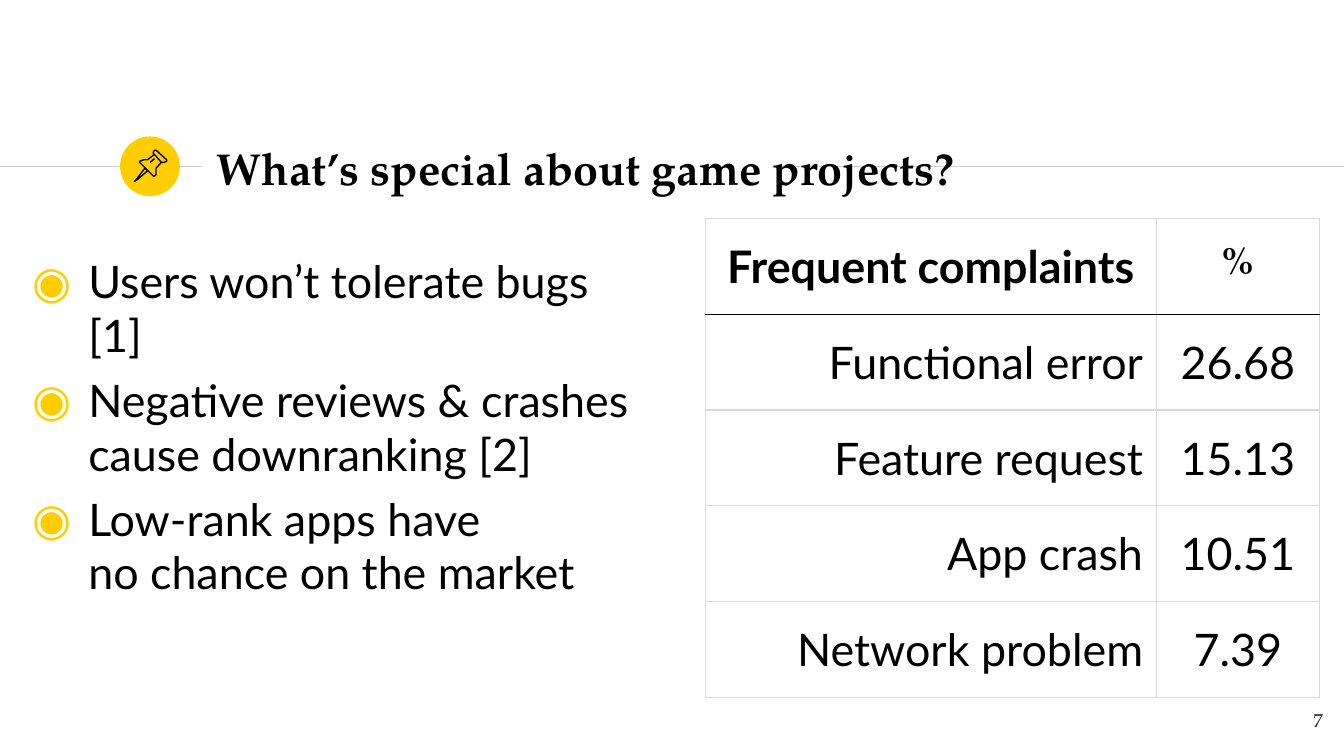
from lxml import etree
from pptx import Presentation
from pptx import util as u
from pptx.dml.color import RGBColor
from pptx.enum import shapes, text
from pptx.oxml import ns

BLACK, GREY, YELLOW, INK = "000000", "CCCCCC", "FFCD00", "1D1D1B"
BORDER = "D9D9D9"
SANS, SERIF = "Lato", "TeX Gyre Pagella"
ALIGN, ANCHOR = text.PP_ALIGN, text.MSO_ANCHOR

# Outlines of the pin, in hundredths of a centimetre
PIN = {
    "needle": [(274, 318), (257, 340), (254, 343), (259, 340), (279, 323)],
    "cap": [(292, 292), (305, 307), (310, 307), (315, 305), (315, 302),
            (295, 284), (292, 284), (290, 287), (290, 292)],
    "body": [(292, 292), (279, 302), (272, 302), (264, 305), (264, 307),
             (290, 333), (292, 333), (295, 330), (295, 318), (305, 307)],
    "glint": [(284, 307), (292, 300)],
}
POINTS = [
    "Users won’t tolerate bugs [1]",
    "Negative reviews & crashes\vcause downranking [2]",
    "Low-rank apps have\vno chance on the market",
]
COMPLAINTS = [
    ("Frequent complaints", "%"),
    ("Functional error", "26.68"),
    ("Feature request", "15.13"),
    ("App crash", "10.51"),
    ("Network problem", "7.39"),
]


def rgb(value):
    return RGBColor.from_string(value)


def add_xml(parent, tag, **attrs):
    return etree.SubElement(parent, ns.qn(tag), attrs)


class Deck:
    def __init__(self, prs):
        self.s = prs.slides.add_slide(prs.slide_layouts[6])

    def style(self, p, size, font, color=BLACK, bold=False, align=ALIGN.LEFT):
        p.alignment = align
        for r in p.runs:
            r.font.size, r.font.name, r.font.bold = u.Pt(size), font, bold
            r.font.color.rgb = rgb(color)

    def line(self, x1, x2, y):
        c = self.s.shapes.add_connector(
            shapes.MSO_CONNECTOR.STRAIGHT, u.Cm(x1), u.Cm(y), u.Cm(x2), u.Cm(y))
        c.line.color.rgb, c.line.width = rgb(GREY), u.Pt(0.75)
        add_xml(c._element.spPr, "a:effectLst")

    def disc(self, x, y, size):
        sp = self.s.shapes.add_shape(
            shapes.MSO_SHAPE.OVAL, u.Cm(x), u.Cm(y), u.Cm(size), u.Cm(size))
        sp.shadow.inherit = False
        sp.fill.solid()
        sp.fill.fore_color.rgb = rgb(YELLOW)
        sp.line.fill.background()

    def outline(self, points, close):
        fb = self.s.shapes.build_freeform(*points[0], scale=u.Cm(0.01))
        fb.add_line_segments(points[1:], close=close)
        sp = fb.convert_to_shape()
        sp.shadow.inherit = False
        sp.fill.background()
        sp.line.color.rgb, sp.line.width = rgb(BLACK), u.Pt(0.75)

    def text(self, x, y, w, h, words, anchor=ANCHOR.TOP, **style):
        tf = self.s.shapes.add_textbox(u.Cm(x), u.Cm(y), u.Cm(w), u.Cm(h)).text_frame
        tf.word_wrap, tf.vertical_anchor = True, anchor
        tf.margin_left = tf.margin_right = tf.margin_top = tf.margin_bottom = u.Cm(0.25)
        tf.text = words
        for p in tf.paragraphs:
            self.style(p, **style)
        return tf

    def bullets(self, x, y, w, h, items, **style):
        tf = self.text(x, y, w, h, "\n".join(items), **style)
        for i, p in enumerate(tf.paragraphs):
            pPr = p._p.get_or_add_pPr()
            pPr.set("marL", str(u.Cm(1.27)))
            pPr.set("indent", str(u.Cm(-1.06)))
            add_xml(add_xml(pPr, "a:buClr"), "a:srgbClr", val=YELLOW)
            add_xml(pPr, "a:buFont", typeface=SANS)
            add_xml(pPr, "a:buChar", char="◉")
            if i:
                p.space_before = u.Pt(6)

    def borders(self, cell, top, bottom):
        """Draw the four cell edges, with their own colours above and below."""
        tcPr = cell._tc.get_or_add_tcPr()
        edges = {"L": BORDER, "R": BORDER, "T": top, "B": bottom}
        for i, (side, color) in enumerate(edges.items()):
            ln = etree.Element(ns.qn(f"a:ln{side}"), w=str(u.Pt(0.75)))
            add_xml(add_xml(ln, "a:solidFill"), "a:srgbClr", val=color)
            tcPr.insert(i, ln)

    def table(self, x, y, widths, row_height, rows):
        t = self.s.shapes.add_table(
            len(rows), len(widths), u.Cm(x), u.Cm(y),
            u.Cm(sum(widths)), u.Cm(row_height * len(rows))).table
        t.first_row = t.horz_banding = False
        for col, width in zip(t.columns, widths):
            col.width = u.Cm(width)
        for i, row in enumerate(rows):
            t.rows[i].height = u.Cm(row_height)
            for j, words in enumerate(row):
                cell = t.cell(i, j)
                cell.text = words
                cell.vertical_anchor = ANCHOR.MIDDLE
                cell.margin_left = cell.margin_right = u.Cm(0.25)
                cell.margin_top = cell.margin_bottom = u.Cm(0.18)
                cell.fill.background()
                self.borders(cell, BLACK if i == 1 else BORDER, BLACK if i == 0 else BORDER)
                size, font = (20, SERIF) if words == "%" else (24, SANS)
                align = ALIGN.RIGHT if i and j == 0 else ALIGN.CENTER
                self.style(cell.text_frame.paragraphs[0], size, font,
                           bold=i == 0, align=align)


def main():
    prs = Presentation()
    prs.slide_width, prs.slide_height = u.Cm(25.4), u.Cm(14.29)
    deck = Deck(prs)
    deck.line(0, 3.81, 3.15)
    deck.disc(2.27, 2.58, 1.13)
    deck.line(14.63, 25.4, 3.15)
    deck.text(3.85, 2.55, 15.29, 1.22, "What’s special about game projects?",
              anchor=ANCHOR.MIDDLE, size=24, font=SERIF, bold=True)
    deck.bullets(0.15, 4.55, 12.4, 8.64, POINTS, size=24, font=SANS)
    for part, points in PIN.items():
        deck.outline(points, close=part in ("needle", "cap"))
    deck.text(23.73, 13.19, 1.52, 1.09, "7",
              size=10, font=SERIF, color=INK, align=ALIGN.RIGHT)
    deck.table(13.33, 4.13, [8.52, 3.09], 1.81, COMPLAINTS)
    prs.save("out.pptx")


if __name__ == "__main__":
    main()
